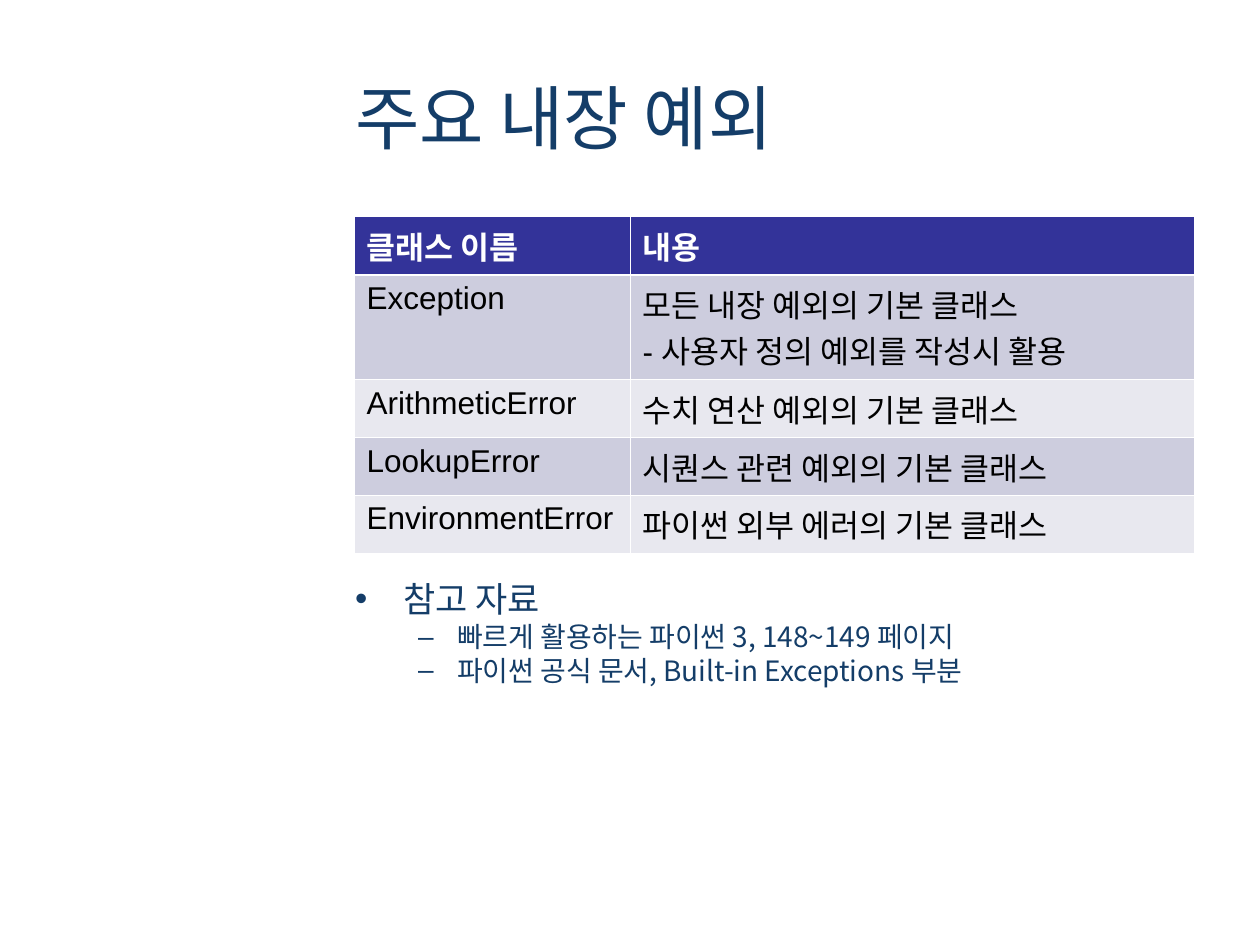
from lxml import etree
from pptx import Presentation
from pptx import util as u
from pptx.dml.color import RGBColor
from pptx.enum import text
from pptx.oxml.ns import qn

KOREAN = "Noto Sans CJK KR"
NAVY = "143D68"
HEADER, BANDS = "333399", ("E8E8EF", "CDCDDE")
EXCEPTIONS = [
    ("클래스 이름", "내용"),
    ("Exception", "모든 내장 예외의 기본 클래스\n- 사용자 정의 예외를 작성시 활용"),
    ("ArithmeticError", "수치 연산 예외의 기본 클래스"),
    ("LookupError", "시퀀스 관련 예외의 기본 클래스"),
    ("EnvironmentError", "파이썬 외부 에러의 기본 클래스"),
]
REFERENCES = [
    ("참고 자료", 0),
    ("빠르게 활용하는 파이썬 3, 148~149 페이지", 1),
    ("파이썬 공식 문서, Built-in Exceptions 부분", 1),
]
LEVELS = [
    {"mark": "•", "margin": 0.38, "hang": 0.38, "size": 20, "before": 0},
    {"mark": "–", "margin": 0.81, "hang": 0.31, "size": 16, "before": 4},
]


def color(value):
    """Return the colour for a hex string."""
    return RGBColor.from_string(value)


def write(paragraph, words, fill, **formats):
    """Add one formatted run with a Korean fallback font."""
    run = paragraph.add_run()
    run.text = words
    for name, value in formats.items():
        setattr(run.font, name, value)
    run.font.color.rgb = color(fill)
    etree.SubElement(run._r.get_or_add_rPr(), qn("a:ea"), typeface=KOREAN)


def add_title(slide, words):
    """Place and fill the title placeholder."""
    title = slide.shapes.title
    place = {"left": 2.72, "top": 0.3, "width": 6.78, "height": 1.25}
    for name, value in place.items():
        setattr(title, name, u.Inches(value))
    title.text_frame.vertical_anchor = text.MSO_ANCHOR.MIDDLE
    heading = title.text_frame.paragraphs[0]
    heading.alignment = text.PP_ALIGN.LEFT
    write(heading, words, NAVY, name=KOREAN, size=u.Pt(40))


def add_borders(cell, widths):
    """Draw white cell borders with a width in points for each side."""
    properties = cell._tc.get_or_add_tcPr()
    for side, width in widths.items():
        line = etree.SubElement(properties, qn(f"a:ln{side}"), w=str(u.Pt(width)))
        solid = etree.SubElement(line, qn("a:solidFill"))
        etree.SubElement(solid, qn("a:srgbClr"), val="FFFFFF")


def add_exception_table(slide):
    """Add the banded table of built-in exceptions."""
    frame = slide.shapes.add_table(
        len(EXCEPTIONS), 2, u.Inches(2.81), u.Inches(1.72), u.Inches(6.67), u.Inches(2.67))
    table = frame.table
    for column, width in zip(table.columns, (2.19, 4.48)):
        column.width = u.Inches(width)
    for index, entries in enumerate(EXCEPTIONS):
        is_header = index == 0
        table.rows[index].height = u.Inches(0.83 if index == 1 else 0.46)
        widths = {"L": 0.45, "R": 0.45, "T": 1.47 if index == 1 else 0.45,
                  "B": 1.47 if is_header else 0.45}
        for cell, entry in zip(table.rows[index].cells, entries):
            add_borders(cell, widths)
            cell.fill.solid()
            cell.fill.fore_color.rgb = color(HEADER if is_header else BANDS[index % 2])
            for number, words in enumerate(entry.split("\n")):
                frame_text = cell.text_frame
                paragraph = frame_text.add_paragraph() if number else frame_text.paragraphs[0]
                write(paragraph, words, "FFFFFF" if is_header else "000000",
                      name="Arial", size=u.Pt(18), bold=is_header)


def add_bullet(paragraph, mark, margin, hang):
    """Give a paragraph a hanging bullet."""
    properties = paragraph._p.get_or_add_pPr()
    properties.set("marL", str(u.Inches(margin)))
    properties.set("indent", str(-u.Inches(hang)))
    bullet_color = etree.SubElement(properties, qn("a:buClr"))
    etree.SubElement(bullet_color, qn("a:srgbClr"), val=NAVY)
    etree.SubElement(properties, qn("a:buFont"), typeface="Arial")
    etree.SubElement(properties, qn("a:buChar"), char=mark)


def add_references(slide):
    """Add the two-level reference list."""
    box = slide.shapes.add_textbox(
        u.Inches(2.72), u.Inches(4.6), u.Inches(6.78), u.Inches(2.1))
    references = box.text_frame
    references.word_wrap = True
    for index, (words, depth) in enumerate(REFERENCES):
        paragraph = references.add_paragraph() if index else references.paragraphs[0]
        level = LEVELS[depth]
        add_bullet(paragraph, level["mark"], level["margin"], level["hang"])
        spacing = {"level": depth, "line_spacing": 0.8, "space_before": u.Pt(level["before"])}
        for name, value in spacing.items():
            setattr(paragraph, name, value)
        write(paragraph, words, NAVY, name=KOREAN, size=u.Pt(level["size"]))


def main():
    """Build and save the slide."""
    deck = Presentation()
    deck.slide_width, deck.slide_height = u.Inches(10), u.Inches(7.5)
    slide = deck.slides.add_slide(deck.slide_layouts[5])
    add_title(slide, "주요 내장 예외")
    add_references(slide)
    add_exception_table(slide)
    deck.save("out.pptx")


if __name__ == "__main__":
    main()
